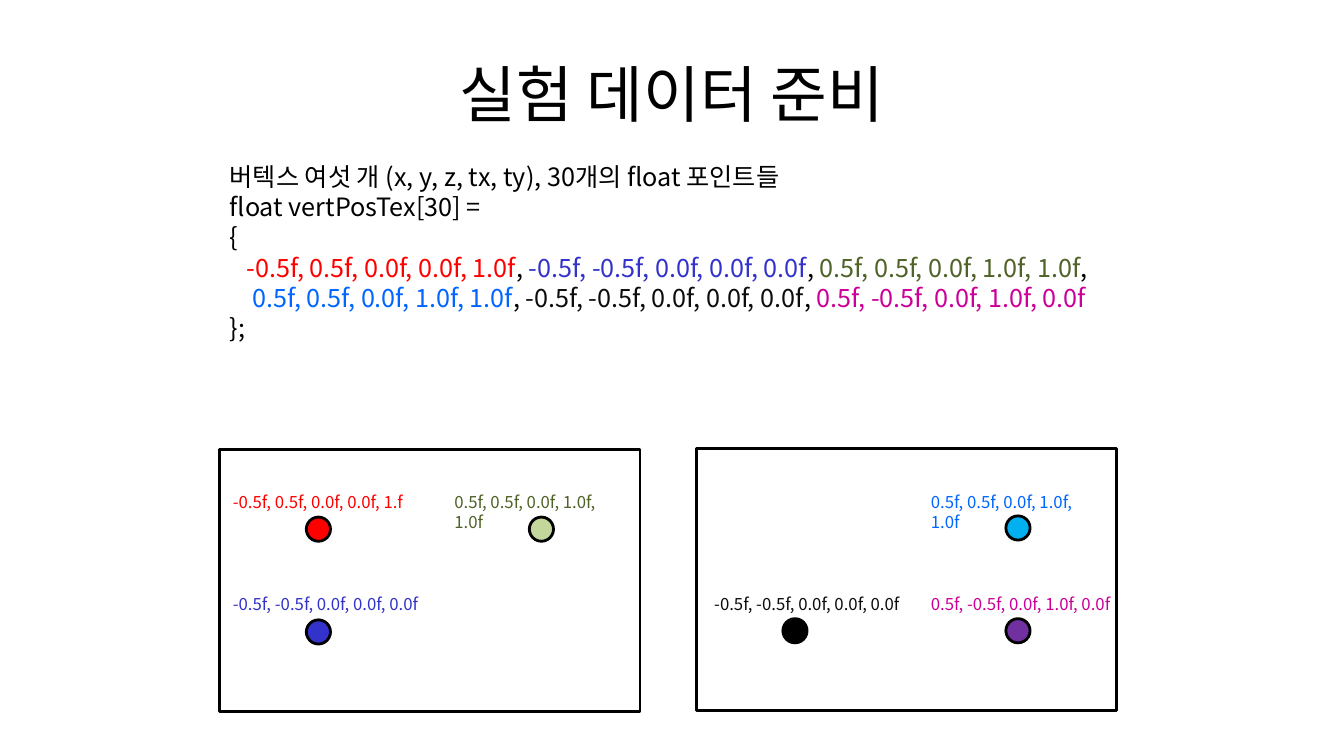
"""Build the slide that lists six vertices and plots them as two triangles."""
from lxml import etree
from pptx import Presentation, util as u
from pptx.dml.color import RGBColor
from pptx.enum import shapes, text
from pptx.oxml.ns import qn

COLORS = {
    "black": "000000", "white": "FFFFFF", "red": "FF0000", "blue": "3333CC",
    "green": "4F6228", "azure": "0066FF", "charcoal": "0D0D0D", "magenta": "CC0099",
    "light green": "C3D69B", "sky": "00B0F0", "purple": "7030A0",
}
VERTICES = {
    "red": "-0.5f, 0.5f, 0.0f, 0.0f, 1.0f",
    "blue": "-0.5f, -0.5f, 0.0f, 0.0f, 0.0f",
    "green": "0.5f, 0.5f, 0.0f, 1.0f, 1.0f",
    "azure": "0.5f, 0.5f, 0.0f, 1.0f, 1.0f",
    "charcoal": "-0.5f, -0.5f, 0.0f, 0.0f, 0.0f",
    "magenta": "0.5f, -0.5f, 0.0f, 1.0f, 0.0f",
}
CODE = [
    "버텍스 여섯 개 (x, y, z, tx, ty), 30개의 float 포인트들",
    "float vertPosTex[30] =", "{", "", "", "};",
]
TRIANGLES = [
    (5.54, 11.33, 0.08, [("red", "red", 0, 0), ("blue", "blue", 0, 1),
                         ("green", "light green", 1, 0)]),
    (17.55, 11.3, 0.2, [("charcoal", "black", 0, 1), ("azure", "sky", 1, 0),
                        ("magenta", "purple", 1, 1)]),
]
LABEL_TOPS = (12.27, 14.83)


class SlideBuilder:
    """Hold the style and the current page, and add each kind of element."""

    font = "Noto Sans CJK KR"
    line_width = u.Pt(2)

    def __init__(self, page):
        self.page = page

    def style(self, span, size, color):
        span.font.size = u.Pt(size)
        span.font.color.rgb = RGBColor.from_string(COLORS[color])
        span.font.name = self.font
        east_asian = etree.SubElement(span.font._element, qn("a:ea"))
        east_asian.set("typeface", self.font)

    def text_box(self, words, left, top, width, height, size, color="black"):
        box = self.page.shapes.add_textbox(*map(u.Cm, (left, top, width, height)))
        frame = box.text_frame
        frame.word_wrap = True
        frame.auto_size = text.MSO_AUTO_SIZE.SHAPE_TO_FIT_TEXT
        frame.text = words
        for para in frame.paragraphs:
            for span in para.runs:
                self.style(span, size, color)
        return frame

    def title(self, words):
        frame = self.text_box(words, 1.7, 0.76, 30.48, 3.18, 44)
        frame.auto_size = text.MSO_AUTO_SIZE.NONE
        frame.vertical_anchor = text.MSO_ANCHOR.MIDDLE
        frame.paragraphs[0].alignment = text.PP_ALIGN.CENTER

    def vertex_row(self, para, names, indent, ending, size=18):
        para._p.get_or_add_pPr().set("marL", str(u.Cm(indent)))
        for name in names:
            separator = ending if name == names[-1] else ", "
            for words, color in ((VERTICES[name], name), (separator, "black")):
                if words:
                    span = para.add_run()
                    span.text = words
                    self.style(span, size, color)

    def shape(self, kind, left, top, width, height, fill):
        shape = self.page.shapes.add_shape(kind, *map(u.Cm, (left, top, width, height)))
        shape.shadow.inherit = False
        shape.fill.solid()
        shape.fill.fore_color.rgb = RGBColor.from_string(COLORS[fill])
        shape.line.color.rgb = RGBColor.from_string(COLORS["black"])
        shape.line.width = self.line_width

    def panel(self, left, top):
        self.shape(shapes.MSO_SHAPE.RECTANGLE, left, top, 10.59, 6.6, "white")

    def dot(self, left, top, fill):
        self.shape(shapes.MSO_SHAPE.OVAL, left, top, 0.61, 0.61, fill)


def main():
    deck = Presentation()
    deck.slide_width, deck.slide_height = u.Cm(33.87), u.Cm(19.05)
    builder = SlideBuilder(deck.slides.add_slide(deck.slide_layouts[6]))

    builder.title("실험 데이터 준비")
    code = builder.text_box("\n".join(CODE), 5.54, 3.94, 22.6, 4.88, 18)
    names = list(VERTICES)
    builder.vertex_row(code.paragraphs[3], names[:3], 0.43, ",")
    builder.vertex_row(code.paragraphs[4], names[3:], 0.57, "")

    for left, top, label_inset, vertices in TRIANGLES:
        builder.panel(left, top)
        for name, fill, column, row in vertices:
            builder.dot(left + 2.18 + 5.62 * column, top + 1.7 + 2.59 * row, fill)
            label = VERTICES[name]
            if name == "red":
                label = label.replace("1.0f", "1.f")
            label_left = left + (5.66 if column else label_inset)
            label_width = 4.88 if (column, row) == (1, 0) else 5.3
            builder.text_box(label, label_left, LABEL_TOPS[row], label_width, 0.76, 12, name)

    deck.save("out.pptx")


if __name__ == "__main__":
    main()
